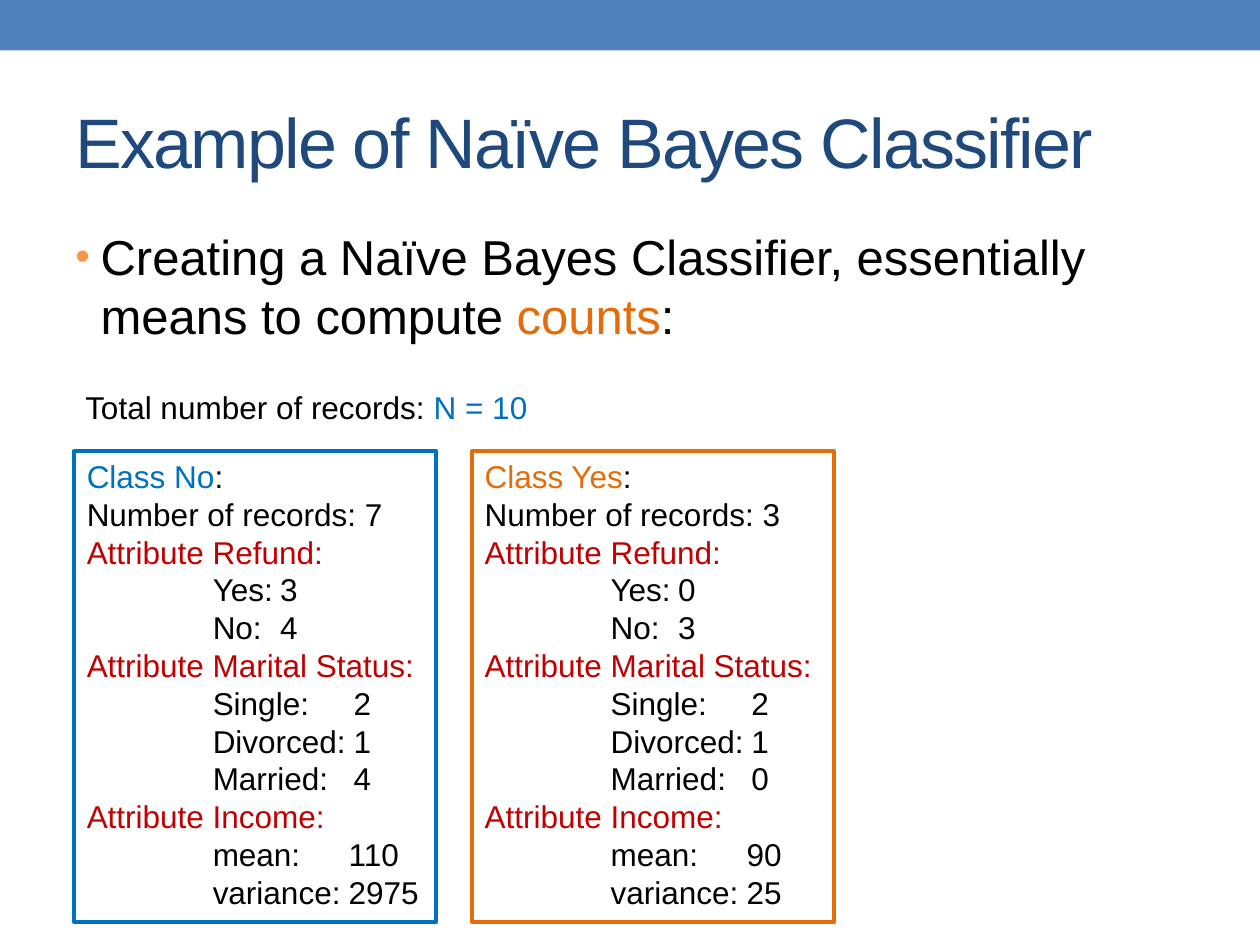
"""Build the slide on the counts behind a Naïve Bayes classifier."""
from lxml.etree import SubElement as Sub
from pptx import Presentation as Deck
from pptx.dml.color import RGBColor as Rgb
from pptx.enum.shapes import MSO_SHAPE as Kind
from pptx.enum.text import MSO_ANCHOR as Anchor
from pptx.oxml.ns import qn
from pptx.util import Cm, Pt

HUES = {"bar": "4F81BD", "title": "1F497D", "text": "000000", "dot": "F79646",
        "no": "0070C0", "yes": "E46C0A", "head": "C00000"}
TITLE = [("Example of Naïve Bayes Classifier", "title")]
LEAD = [("Creating a Naïve Bayes Classifier, essentially means to compute ", "text"),
        ("counts", "yes"), (":", "text")]
TOTAL = [("Total number of records: ", "text"), ("N = 10", "no")]
ATTRS = [("Refund", 3.9, ["Yes", "No"]),
         ("Marital Status", 5.38, ["Single", "Divorced", "Married"]),
         ("Income", 5.28, ["mean", "variance"])]
CARDS = [("Class No", "no", 7, [[3, 4], [2, 1, 4], [110, 2975]]),
         ("Class Yes", "yes", 3, [[0, 3], [2, 1, 0], [90, 25]])]
LEFT, STEP, INDENT = 1.5, 8.02, 2.54


def hue(name):
    return Rgb.from_string(HUES[name])


def add_box(slide, x, y, wide, high):
    box = slide.shapes.add_textbox(Cm(x), Cm(y), Cm(wide), Cm(high))
    box.text_frame.word_wrap = True
    return box


def write(para, runs, size, stops=()):
    if stops:
        tabs = Sub(para._p.get_or_add_pPr(), qn("a:tabLst"))
        for stop in stops:
            Sub(tabs, qn("a:tab"), pos=str(Cm(stop)), algn="l")
    para.font.size, para.font.name = Pt(size), "Arial"
    for words, name in runs:
        run = para.add_run()
        run.text = words
        run.font.color.rgb = hue(name)


def add_dot(para):
    props = para._p.get_or_add_pPr()
    props.set("marL", str(Cm(0.51)))
    props.set("indent", str(Cm(-0.51)))
    Sub(Sub(props, qn("a:buClr")), qn("a:srgbClr"), val=HUES["dot"])
    Sub(props, qn("a:buSzPct"), val="85000")
    Sub(props, qn("a:buFont"), typeface="Arial")
    Sub(props, qn("a:buChar"), char="•")


def card_rows(name, tone, count, groups):
    yield [(name, tone), (":", "text")], ()
    yield [(f"Number of records: {count}", "text")], ()
    for (attr, stop, keys), vals in zip(ATTRS, groups):
        yield [(f"Attribute {attr}:", "head")], ()
        for key, val in zip(keys, vals):
            yield [(f"\t{key}:\t{val}", "text")], (INDENT, stop)


def add_card(slide, x, card):
    box = add_box(slide, x, 9.09, 7.29, 9.5)
    box.line.color.rgb = hue(card[1])
    box.line.width = Pt(2.25)
    frame = box.text_frame
    for i, (runs, stops) in enumerate(card_rows(*card)):
        para = frame.add_paragraph() if i else frame.paragraphs[0]
        write(para, runs, 18, stops)


def main():
    deck = Deck()
    deck.slide_width, deck.slide_height = Cm(25.4), Cm(19.05)
    slide = deck.slides.add_slide(deck.slide_layouts[6])

    bar = slide.shapes.add_shape(Kind.RECTANGLE, 0, 0, deck.slide_width, Cm(1.02))
    bar.shadow.inherit = False
    bar.fill.solid()
    bar.fill.fore_color.rgb = hue("bar")
    bar.line.fill.background()

    title = add_box(slide, 1.27, 1.47, 22.86, 2.74).text_frame
    title.vertical_anchor = Anchor.MIDDLE
    write(title.paragraphs[0], TITLE, 40)
    title.paragraphs[0].runs[0].font._element.set("spc", "-100")

    lead = add_box(slide, 1.27, 4.45, 22.86, 3.38).text_frame.paragraphs[0]
    lead.space_before = Pt(5.6)
    add_dot(lead)
    write(lead, LEAD, 28)

    total = add_box(slide, 1.47, 7.7, 9.5, 1.02).text_frame
    write(total.paragraphs[0], TOTAL, 18)
    for i, card in enumerate(CARDS):
        add_card(slide, LEFT + i * STEP, card)
    deck.save("out.pptx")


if __name__ == "__main__":
    main()
